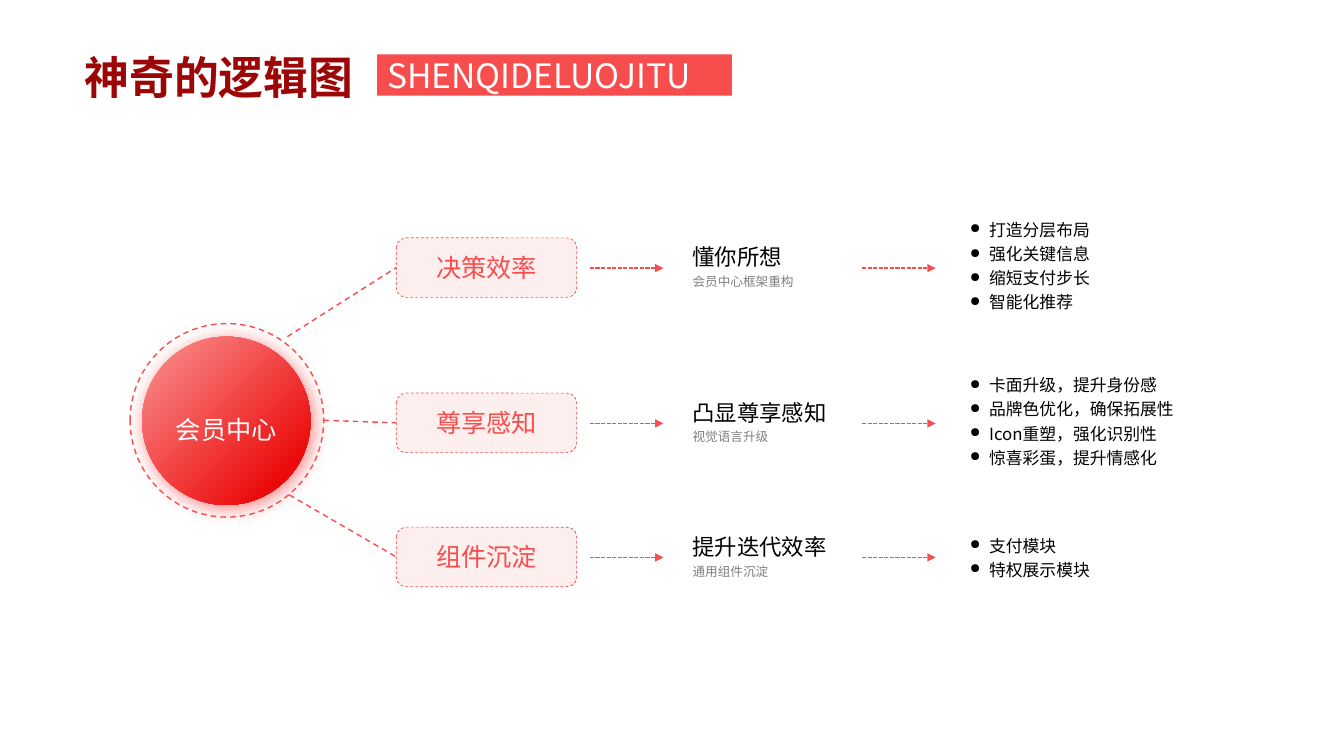
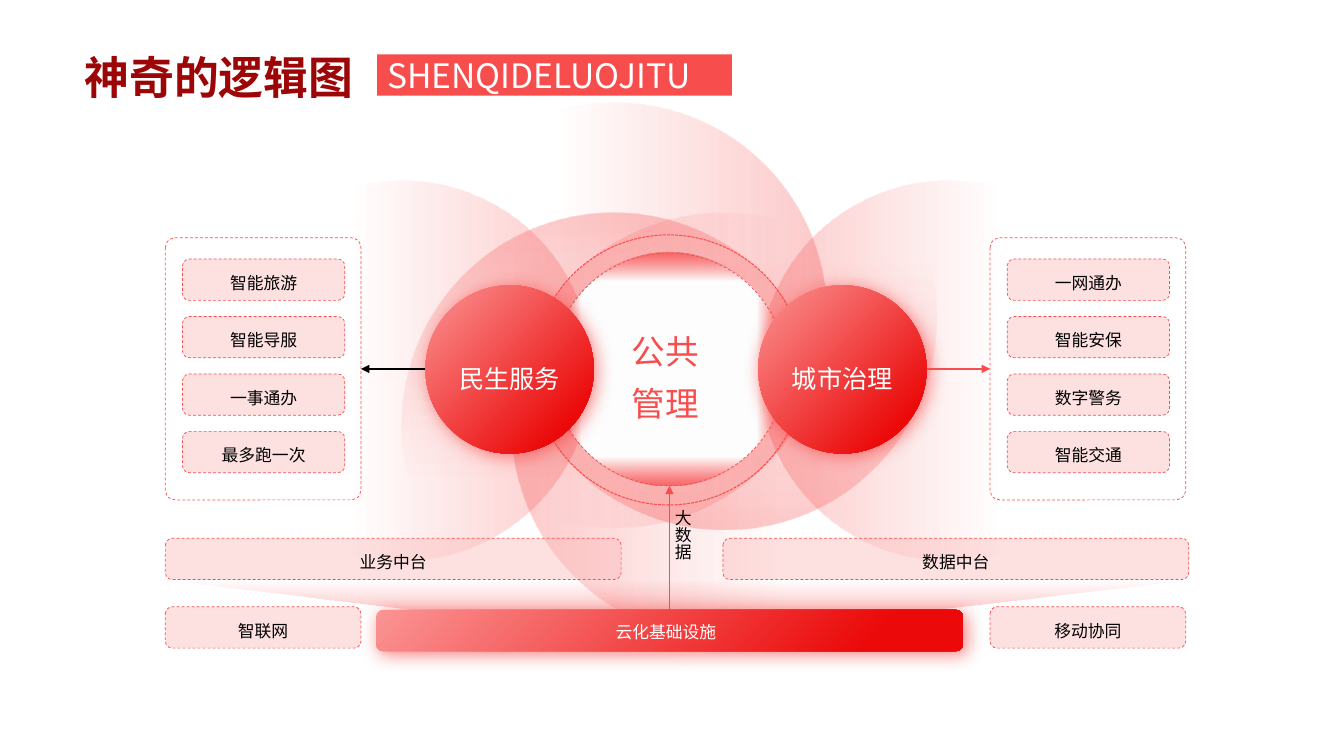
from dataclasses import dataclass

from lxml.etree import SubElement
from pptx import Presentation
from pptx.dml.color import RGBColor
from pptx.enum.dml import MSO_LINE_DASH_STYLE as Dash
from pptx.enum.shapes import MSO_CONNECTOR as Connector, MSO_SHAPE as Shape
from pptx.enum.text import MSO_ANCHOR as Anchor, PP_ALIGN as Align
from pptx.oxml.ns import qn
from pptx.util import Pt

SCALE = 9144  # EMU per px, 100 px to the inch
TOP, LEFT, RIGHT = 0, 1, 3  # connection sites of a rectangle


@dataclass(frozen=True)
class Theme:
    red: str = "F84D4D"
    dark_red: str = "9C0606"
    light_red: str = "FB9494"
    deep_red: str = "EB0909"
    pill: str = "FEDBDB"
    box: str = "FCB8B8"
    white: str = "FFFFFF"
    black: str = "000000"
    gray: str = "808080"
    font: str = "Noto Sans CJK JP"
    font_sc: str = "Noto Sans CJK SC"
    title: int = 32
    display: int = 24
    label: int = 18
    heading: int = 16
    body: int = 12
    small: int = 9


THEME = Theme()


def px(value):
    return round(value * SCALE)


# --- fills and effects ---
def add_color(parent, color, alpha=100):
    node = SubElement(parent, qn("a:srgbClr"), val=color)
    if alpha < 100:
        SubElement(node, qn("a:alpha"), val=str(alpha * 1000))


def set_gradient(fill, properties, stops, angle=None):
    """Stops are (percent, colour, alpha); without an angle it spreads from the centre."""
    fill.gradient()
    gradient = properties.find(qn("a:gradFill"))
    for child in list(gradient):
        gradient.remove(child)
    stop_list = SubElement(gradient, qn("a:gsLst"))
    for position, color, alpha in stops:
        stop = SubElement(stop_list, qn("a:gs"), pos=str(position * 1000))
        add_color(stop, color, alpha)
    if angle is None:
        spread = SubElement(gradient, qn("a:path"), path="shape")
        SubElement(spread, qn("a:fillToRect"), l="50000", t="50000", r="50000", b="50000")
    else:
        SubElement(gradient, qn("a:lin"), ang=str(angle * 60000), scaled="0")


def fill_shape(shape, stops, angle=None):
    set_gradient(shape.fill, shape._element.spPr, stops, angle)


def add_glow(shape):
    effects = shape._element.spPr.find(qn("a:effectLst"))
    shadow = SubElement(effects, qn("a:outerShdw"), blurRad=str(Pt(13)), dist=str(Pt(3)),
                        dir=str(45 * 60000), algn="tl", rotWithShape="0")
    add_color(shadow, THEME.red, 70)


# --- text ---
def add_bullet(paragraph):
    properties = paragraph._p.get_or_add_pPr()
    properties.set("marL", str(px(19)))
    properties.set("indent", str(px(-19)))
    SubElement(properties, qn("a:buSzPct"), val="80000")
    SubElement(properties, qn("a:buChar"), char="●")


def write_text(shape, *lines, size=THEME.body, color=THEME.black, font=THEME.font, bold=False,
               align=Align.CENTER, anchor=Anchor.MIDDLE, spacing=None, insets=(0, 0, 0, 0),
               bullet=False, gradient=None):
    frame = shape.text_frame
    frame.word_wrap = True
    frame.vertical_anchor = anchor
    (frame.margin_left, frame.margin_top,
     frame.margin_right, frame.margin_bottom) = map(px, insets)
    for index, line in enumerate(lines):
        paragraph = frame.add_paragraph() if index else frame.paragraphs[0]
        paragraph.alignment = align
        if spacing:
            paragraph.line_spacing = spacing
        if bullet:
            add_bullet(paragraph)
        run = paragraph.add_run()
        run.text = line
        run.font.size = Pt(size)
        run.font.bold = bold
        run.font.name = font
        if gradient:
            set_gradient(run.font.fill, run._r.rPr, *gradient)
        else:
            run.font.color.rgb = RGBColor.from_string(color)
        latin = run._r.rPr.find(qn("a:latin"))
        latin.addnext(latin.makeelement(qn("a:ea"), {"typeface": font}))
    return shape


def add_text(slide, left, top, width, height, *lines, **text_format):
    text_box = slide.shapes.add_textbox(*map(px, (left, top, width, height)))
    return write_text(text_box, *lines, **{"align": Align.LEFT, "anchor": Anchor.TOP, **text_format})


# --- shapes ---
def style_line(line, color, weight, dash):
    line.color.rgb = RGBColor.from_string(color)
    line.width = Pt(weight)
    if dash:
        line.dash_style = dash


def add_shape(slide, kind, left, top, width, height, fill=None, alpha=100,
              line=None, weight=0.5, dash=Dash.DASH):
    shape = slide.shapes.add_shape(kind, *map(px, (left, top, width, height)))
    shape.shadow.inherit = False
    if fill:
        shape.fill.solid()
        shape.fill.fore_color.rgb = RGBColor.from_string(fill)
        if alpha < 100:
            color = shape._element.spPr.find(qn("a:solidFill"))[0]
            SubElement(color, qn("a:alpha"), val=str(alpha * 1000))
    else:
        shape.fill.background()
    if line:
        style_line(shape.line, line, weight, dash)
    else:
        shape.line.fill.background()
    return shape


def add_line(slide, start, end, color=THEME.red, dash=None, arrow=False):
    line = slide.shapes.add_connector(Connector.STRAIGHT, *map(px, (*start, *end)))
    style_line(line.line, color, 1, dash)
    if arrow:
        SubElement(line.line._get_or_add_ln(), qn("a:tailEnd"), type="triangle")
    SubElement(line._element.spPr, qn("a:effectLst"))
    return line


def add_glossy(slide, kind, left, top, width, height):
    shape = add_shape(slide, kind, left, top, width, height)
    fill_shape(shape, [(0, THEME.light_red, 100), (84, THEME.deep_red, 100)], 45)
    add_glow(shape)
    return shape


def add_ball(slide, left, top, label, font=THEME.font):
    ball = add_glossy(slide, Shape.OVAL, left, top, 167, 167)
    write_text(ball, label, size=THEME.label, color=THEME.white, font=font,
               spacing=1.3, insets=(0, 9, 0, 0))


def add_petal(slide, left, top, size, angle):
    petal = add_shape(slide, Shape.OVAL, left, top, size, size)
    fill_shape(petal, [(0, THEME.red, 30), (63, THEME.red, 0)], angle)


def add_box(slide, left, top, width, label):
    box = add_shape(slide, Shape.ROUNDED_RECTANGLE, left, top, width, 41,
                    fill=THEME.box, alpha=43, line=THEME.red)
    write_text(box, label, insets=(0, 6, 0, 0))


def add_panel(slide, left, labels):
    panel = add_shape(slide, Shape.ROUNDED_RECTANGLE, left, 236, 194, 260, line=THEME.red)
    panel.adjustments[0] = 0.05
    for row, label in enumerate(labels):
        add_box(slide, left + 17, 257 + row * 57, 161, label)
    return panel


def add_title(slide):
    add_text(slide, 74, 44, 347, 64, "神奇的逻辑图", size=THEME.title, font=THEME.font_sc,
             bold=True, insets=(10, 5, 10, 5),
             gradient=([(0, THEME.dark_red, 100), (100, THEME.red, 100)], 225))
    band = add_shape(slide, Shape.RECTANGLE, 374, 54, 352, 41, fill=THEME.red)
    write_text(band, "SHENQIDELUOJITU", size=THEME.display, color=THEME.white,
               align=Align.JUSTIFY, insets=(10, 0, 10, 0))


# --- slide 1: centre, three branches ---
def add_branch(slide, top, spoke_start, name, heading, note, points):
    middle = top + 30
    pill = add_shape(slide, Shape.ROUNDED_RECTANGLE, 393, top, 179, 59,
                     fill=THEME.pill, alpha=43, line=THEME.red)
    write_text(pill, name, size=THEME.label, color=THEME.red)
    spoke = add_line(slide, spoke_start, (393, middle), dash=Dash.DASH)
    spoke.end_connect(pill, LEFT)
    for left in (585, 855):
        add_line(slide, (left, middle), (left + 73, middle), dash=Dash.SQUARE_DOT, arrow=True)
    add_text(slide, 687, top + 9, 160, 23, heading, size=THEME.heading, spacing=Pt(16.8))
    add_text(slide, 687, top + 36, 130, 14, note, size=THEME.small, color=THEME.gray)
    height = 26 * len(points)
    add_text(slide, 962, middle - height // 2, 242, height, *points, spacing=1.2, bullet=True)


def build_member_center(slide):
    add_ball(slide, 141, 334, "会员中心", font=THEME.font_sc)
    add_shape(slide, Shape.OVAL, 129, 321, 192, 192, line=THEME.red, weight=1)
    add_branch(slide, 236, (285, 334), "决策效率", "懂你所想", "会员中心框架重构",
               ["打造分层布局", "强化关键信息", "缩短支付步长", "智能化推荐"])
    add_branch(slide, 390, (321, 417), "尊享感知", "凸显尊享感知", "视觉语言升级",
               ["卡面升级，提升身份感", "品牌色优化，确保拓展性",
                "Icon重塑，强化识别性", "惊喜彩蛋，提升情感化"])
    add_branch(slide, 523, (287, 491), "组件沉淀", "提升迭代效率", "通用组件沉淀",
               ["支付模块", "特权展示模块"])
    add_title(slide)


# --- slide 2: public management ---
def add_taper(slide):
    builder = slide.shapes.build_freeform(px(588), px(627), scale=1.0)
    corners = [(164, 576), (1179, 576), (739, 627)]
    builder.add_line_segments([(px(x), px(y)) for x, y in corners], close=True)
    taper = builder.convert_to_shape()
    taper.shadow.inherit = False
    taper.line.fill.background()
    fill_shape(taper, [(0, THEME.red, 0), (100, THEME.red, 52)], 90)


def build_public_management(slide):
    # Background petals
    for left, top, size, angle in [(399, 102, 421, 180), (507, 211, 421, 0),
                                   (398, 211, 421, 90), (508, 104, 421, 270),
                                   (752, 179, 377, 0), (210, 179, 377, 180)]:
        add_petal(slide, left, top, size, angle)

    # Side panels and platform boxes
    services = add_panel(slide, 164, ["智能旅游", "智能导服", "一事通办", "最多跑一次"])
    governance = add_panel(slide, 982, ["一网通办", "智能安保", "数字警务", "智能交通"])
    for left, top, width, label in [(164, 534, 452, "业务中台"), (717, 534, 462, "数据中台"),
                                    (164, 602, 194, "智联网"), (982, 602, 194, "移动协同")]:
        add_box(slide, left, top, width, label)

    # Core and its two balls
    add_shape(slide, Shape.OVAL, 529, 233, 268, 268, line=THEME.red, weight=0.75,
              dash=Dash.SQUARE_DOT)
    core = add_shape(slide, Shape.OVAL, 548, 251, 231, 231, line=THEME.red)
    fill_shape(core, [(75, THEME.white, 100), (100, THEME.red, 77)])
    add_ball(slide, 422, 283, "民生服务")
    add_ball(slide, 752, 283, "城市治理")
    add_text(slide, 603, 316, 114, 108, "公共", "管理", size=THEME.display, color=THEME.red,
             font=THEME.font_sc, align=Align.CENTER, spacing=1.3)
    to_services = add_line(slide, (422, 366), (358, 366), color=THEME.black, arrow=True)
    to_services.end_connect(services, RIGHT)
    to_governance = add_line(slide, (919, 366), (982, 366), arrow=True)
    to_governance.end_connect(governance, LEFT)

    # Cloud base and data feed
    add_taper(slide)
    base = add_glossy(slide, Shape.ROUNDED_RECTANGLE, 373, 605, 582, 41)
    write_text(base, "云化基础设施", color=THEME.white, insets=(0, 2, 7, 0))
    feed = add_line(slide, (664, 605), (664, 482), arrow=True)
    feed.begin_connect(base, TOP)
    data = add_text(slide, 664, 503, 26, 99, "大数据", anchor=Anchor.MIDDLE, insets=(3, 3, 3, 3))
    data.text_frame._txBody.bodyPr.set("vert", "eaVert")
    add_title(slide)


def main():
    presentation = Presentation()
    presentation.slide_width, presentation.slide_height = px(1333), px(750)
    blank = presentation.slide_layouts[6]
    for build in (build_member_center, build_public_management):
        build(presentation.slides.add_slide(blank))
    presentation.save("out.pptx")


if __name__ == "__main__":
    main()
